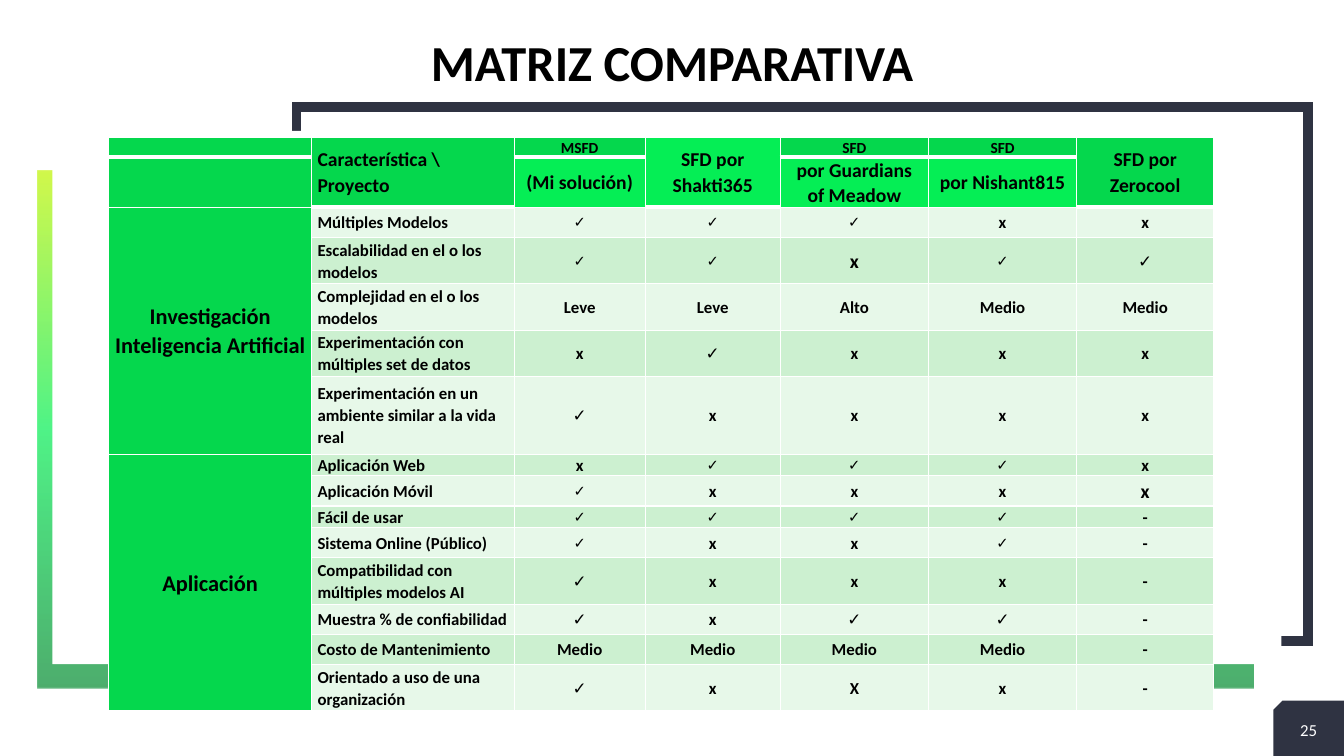
from dataclasses import dataclass

from lxml import etree
from pptx import Presentation
from pptx.dml.color import RGBColor
from pptx.enum.shapes import MSO_SHAPE
from pptx.enum.text import MSO_ANCHOR, PP_ALIGN
from pptx.oxml.ns import qn
from pptx.util import Inches, Pt

RECTANGLE, SNIPPED = MSO_SHAPE.RECTANGLE, MSO_SHAPE.SNIP_1_RECTANGLE
MIDDLE = MSO_ANCHOR.MIDDLE
LEFT, CENTER = PP_ALIGN.LEFT, PP_ALIGN.CENTER
WIDTH, HEIGHT = Inches(13.33), Inches(7.5)


@dataclass(frozen=True)
class Theme:
    font: str = "Calibri"
    ink: str = "000000"
    paper: str = "FFFFFF"
    navy: str = "2F3342"
    green: str = "05D74D"
    bright: str = "05EE55"
    bands: tuple = ("E7F8E9", "CCF0D0")
    gradient: tuple = ((0, "038B30"), (50, "05EE55"), (100, "C0F400"))
    title: float = 36
    group: float = 16
    heading: float = 14
    body: float = 12
    small_heading: float = 11
    small_mark: float = 10.5


THEME = Theme()

# Marks set in a size other than the body size
SIZED_MARKS = {"✓small": ("✓", THEME.small_mark), "xlarge": ("x", THEME.heading)}

COLUMN_WEIGHTS = (2.01, 2.01, 1.3, 1.34, 1.47, 1.47, 1.36)
HEADER_WEIGHTS = (0.18, 0.46)
# Each heading is a small upper part and a lower part; no upper part means a merged cell
HEADINGS = (
    ("MSFD", "(Mi solución)", THEME.green),
    ("", "SFD por Shakti365", THEME.bright),
    ("SFD", "por Guardians of Meadow", THEME.green),
    ("SFD", "por Nishant815", THEME.green),
    ("", "SFD por Zerocool", THEME.green),
)
GROUPS = (
    ("Investigación Inteligencia Artificial", (
        (0.3, "Múltiples Modelos", "✓small ✓small ✓small x x"),
        (0.46, "Escalabilidad en el o los modelos", "✓small ✓small xlarge ✓small ✓"),
        (0.46, "Complejidad en el o los modelos", "Leve Leve Alto Medio Medio"),
        (0.46, "Experimentación con múltiples set de datos", "x ✓ x x x"),
        (0.77, "Experimentación en un ambiente similar a la vida real", "✓ x x x x"),
    )),
    ("Aplicación", (
        (0.17, "Aplicación Web", "x ✓small ✓small ✓small x"),
        (0.3, "Aplicación Móvil", "✓small x x x xlarge"),
        (0.17, "Fácil de usar", "✓small ✓small ✓small ✓small -"),
        (0.3, "Sistema Online (Público)", "✓small x x ✓small -"),
        (0.46, "Compatibilidad con múltiples modelos AI", "✓ x x x -"),
        (0.3, "Muestra % de confiabilidad", "✓ x ✓ ✓ -"),
        (0.3, "Costo de Mantenimiento", "Medio Medio Medio Medio -"),
        (0.46, "Orientado a uso de una organización", "✓ x X x -"),
    )),
)


def area(left, top, width, height):
    """Turn percentages of the slide into lengths."""
    return (int(WIDTH * left / 100), int(HEIGHT * top / 100),
            int(WIDTH * width / 100), int(HEIGHT * height / 100))


def color(value):
    return RGBColor.from_string(value)


def write(frame, text, size=THEME.body, ink=THEME.ink, bold=True,
          align=CENTER, spacing=1.0):
    para = frame.paragraphs[0]
    para.alignment = align
    para.line_spacing = spacing
    span = para.add_run()
    span.text = text
    span.font.name = THEME.font
    span.font.size = Pt(size)
    span.font.bold = bold
    span.font.color.rgb = color(ink)


def add_block(slide, place, kind=RECTANGLE, fill=None):
    block = slide.shapes.add_shape(kind, *area(*place))
    block.shadow.inherit = False
    block.line.fill.background()
    if fill:
        block.fill.solid()
        block.fill.fore_color.rgb = color(fill)
    else:
        block.fill.background()
    return block


def add_frame(slide, place):
    frame = add_block(slide, place)
    frame.line.width = Pt(7)
    frame.line.color.rgb = color(THEME.navy)
    outline = frame._element.spPr.find(qn("a:ln"))
    etree.SubElement(outline, qn("a:miter"), lim="800000")


def add_gradient_block(slide, place):
    block = add_block(slide, place)
    gradient = etree.Element(qn("a:gradFill"), rotWithShape="1")
    stops = etree.SubElement(gradient, qn("a:gsLst"))
    for position, value in THEME.gradient:
        stop = etree.SubElement(stops, qn("a:gs"), pos=str(position * 1000))
        tint = etree.SubElement(stop, qn("a:srgbClr"), val=value)
        etree.SubElement(tint, qn("a:alpha"), val="70000")
    etree.SubElement(gradient, qn("a:lin"), ang="16200000", scaled="0")
    properties = block._element.spPr
    properties.replace(properties.find(qn("a:noFill")), gradient)


def add_page_number(slide, number):
    corner = add_block(slide, (94.75, 92.67, 5.25, 7.33), SNIPPED, THEME.navy)
    corner._element.spPr.find(qn("a:xfrm")).set("flipH", "1")
    box = slide.shapes.add_textbox(*area(94.75, 93.47, 5.25, 6))
    box.text_frame.word_wrap = True
    box.text_frame.vertical_anchor = MIDDLE
    write(box.text_frame, number, ink=THEME.paper, bold=False)


def set_title(slide, text):
    title = slide.shapes.title
    title.left, title.top, title.width, title.height = area(4.88, 0, 90.25, 17.33)
    title.text_frame.vertical_anchor = MIDDLE
    write(title.text_frame, text, size=THEME.title, spacing=0.9)


def style_cell(cell, fill, bottom=1):
    """Give a cell its insets, white borders and fill."""
    cell.margin_left = cell.margin_right = Inches(0.06)
    cell.margin_top = cell.margin_bottom = 0
    cell.vertical_anchor = MIDDLE
    properties = cell._tc.get_or_add_tcPr()
    for side, points in (("L", 1), ("R", 1), ("T", 1), ("B", bottom)):
        border = etree.SubElement(properties, qn("a:ln" + side), w=str(Pt(points)))
        paint = etree.SubElement(border, qn("a:solidFill"))
        etree.SubElement(paint, qn("a:srgbClr"), val=THEME.paper)
    cell.fill.solid()
    cell.fill.fore_color.rgb = color(fill)
    # Keeps an empty cell from stretching its row
    cell.text_frame.paragraphs[0]._p.get_or_add_endParaRPr().set("sz", "800")


def fill_cell(cell, text, **format):
    write(cell.text_frame, text, spacing=1.07, **format)


def fill_header(table):
    top, bottom = 0, 1
    for row, thickness in ((top, 3), (bottom, 1)):
        style_cell(table.cell(row, 0), THEME.green, thickness)
    headings = (("", "Característica \\ Proyecto", THEME.green),) + HEADINGS
    for column, (upper, lower, fill) in enumerate(headings, 1):
        first, second = table.cell(top, column), table.cell(bottom, column)
        style_cell(first, fill, 3)
        style_cell(second, THEME.bright if upper else fill, 1 if upper else 3)
        if upper:
            fill_cell(first, upper, size=THEME.small_heading)
        else:
            first.merge(second)
        fill_cell(second if upper else first, lower, size=THEME.heading,
                  align=LEFT if column == 1 else CENTER)


def fill_groups(table):
    row = len(HEADER_WEIGHTS)
    for name, features in GROUPS:
        group = table.cell(row, 0)
        group.merge(table.cell(row + len(features) - 1, 0))
        fill_cell(group, name, size=THEME.group)
        for _, feature, marks in features:
            style_cell(table.cell(row, 0), THEME.green)
            band = THEME.bands[row % 2]
            label = table.cell(row, 1)
            style_cell(label, band)
            fill_cell(label, feature, align=LEFT)
            for column, mark in enumerate(marks.split(), 2):
                text, size = SIZED_MARKS.get(mark, (mark, THEME.body))
                style_cell(table.cell(row, column), band)
                fill_cell(table.cell(row, column), text, size=size)
            row += 1


def add_matrix(slide):
    weights = HEADER_WEIGHTS + tuple(item[0] for _, group in GROUPS for item in group)
    left, top, width, height = area(8.1, 18.13, 82.22, 74)
    table = slide.shapes.add_table(len(weights), len(COLUMN_WEIGHTS),
                                   left, top, width, height).table
    table.first_row = table.horz_banding = False
    for column, weight in zip(table.columns, COLUMN_WEIGHTS):
        column.width = int(width * weight / sum(COLUMN_WEIGHTS))
    for row, weight in zip(table.rows, weights):
        row.height = int(height * weight / sum(weights))
    fill_header(table)
    fill_groups(table)


def main():
    deck = Presentation()
    deck.slide_width, deck.slide_height = WIDTH, HEIGHT
    slide = deck.slides.add_slide(deck.slide_layouts[5])
    add_frame(slide, (22.06, 14.13, 75.24, 70.67))
    add_gradient_block(slide, (2.78, 22.53, 90.47, 68.53))
    add_block(slide, (3.9, 17.33, 91.45, 70.53), fill=THEME.paper)
    add_page_number(slide, "25")
    set_title(slide, "MATRIZ COMPARATIVA")
    add_matrix(slide)
    deck.save("out.pptx")


if __name__ == "__main__":
    main()
